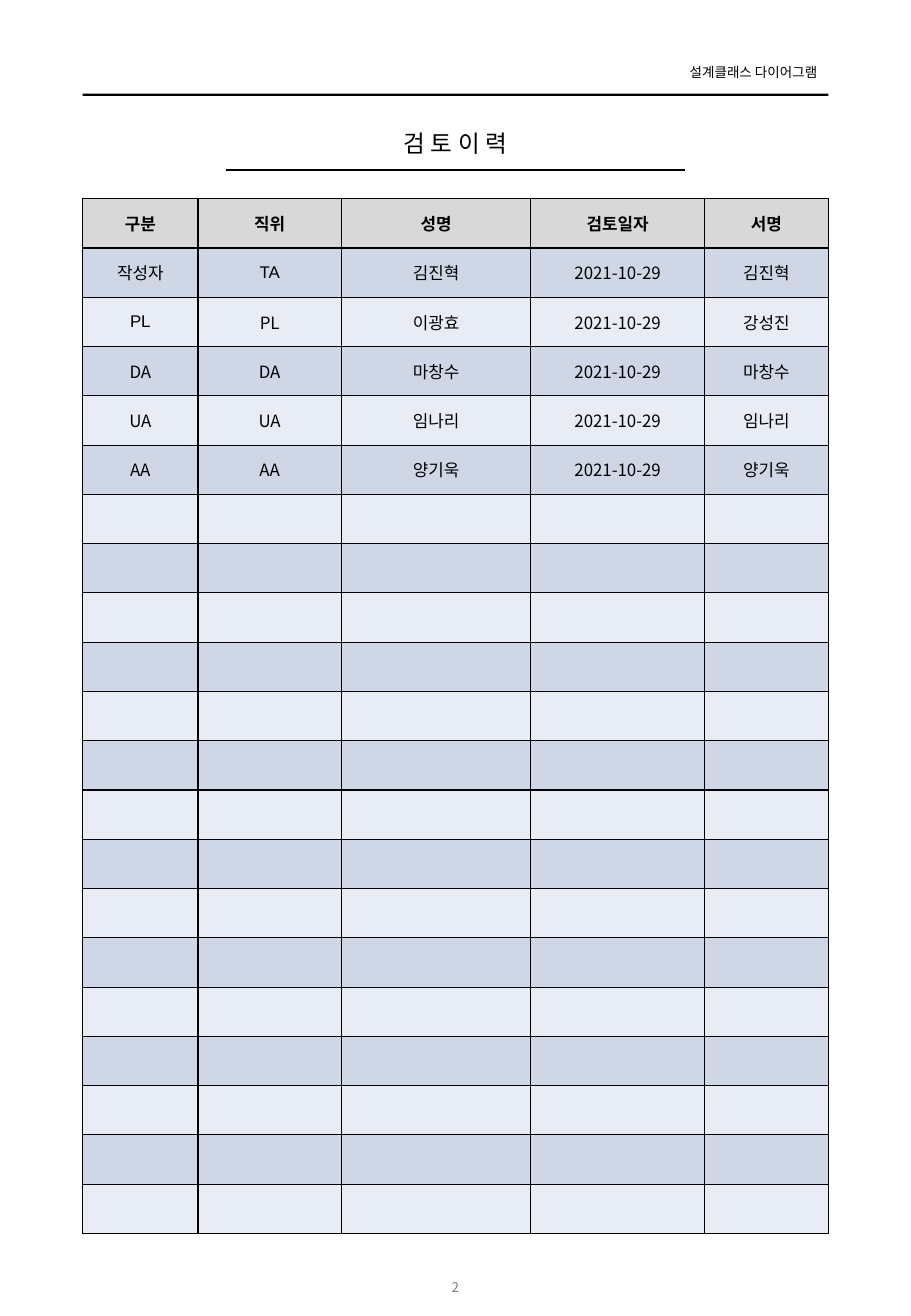
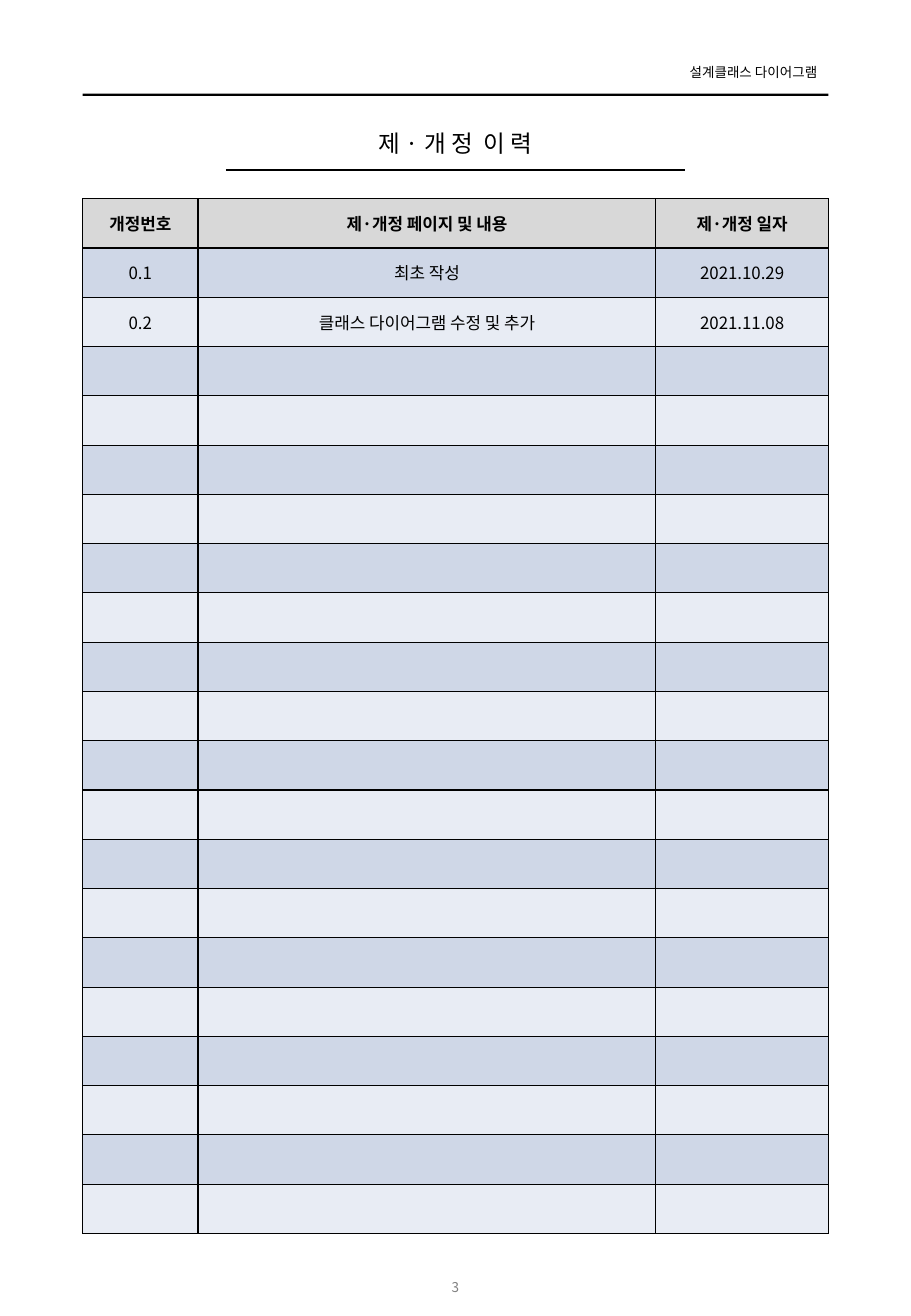
import lxml.etree
import pptx
import pptx.dml.color
import pptx.enum.shapes
import pptx.enum.text
import pptx.oxml.ns
import pptx.util

Inches, Pt = pptx.util.Inches, pptx.util.Pt
qn = pptx.oxml.ns.qn
RGBColor = pptx.dml.color.RGBColor
ALIGN = pptx.enum.text.PP_ALIGN
ANCHOR = pptx.enum.text.MSO_ANCHOR

COLORS = {"ink": "000000", "page_number": "7F7F7F", "header": "D8D8D8",
          "dark_band": "CFD7E7", "light_band": "E8ECF4"}
FONT = "Noto Sans CJK KR"
LEFT, WIDTH = 0.68, 6.14
TABLE_TOP, TABLE_HEIGHT, ROW_COUNT = 1.635, 8.52, 21
DATE = "2021-10-29"

PAGES = [
    {"title": "검 토 이 력", "number": "2",
     "widths": [0.95, 1.18, 1.56, 1.43, 1.02],
     "rows": [["구분", "직위", "성명", "검토일자", "서명"],
              ["작성자", "TA", "김진혁", DATE, "김진혁"],
              ["PL", "PL", "이광효", DATE, "강성진"],
              ["DA", "DA", "마창수", DATE, "마창수"],
              ["UA", "UA", "임나리", DATE, "임나리"],
              ["AA", "AA", "양기욱", DATE, "양기욱"]],
     "arial_cells": [(1, 1), (1, 2), (2, 0)]},
    {"title": "제 · 개 정  이 력", "number": "3",
     "widths": [0.95, 3.77, 1.42],
     "rows": [["개정번호", "제·개정 페이지 및 내용", "제·개정 일자"],
              ["0.1", "최초 작성", "2021.10.29"],
              ["0.2", "클래스 다이어그램 수정 및 추가", "2021.11.08"]],
     "arial_cells": []},
]


def write_text(frame, text, size, color="ink", align=ALIGN.CENTER, bold=False, latin=FONT):
    paragraph = frame.paragraphs[0]
    paragraph.alignment = align
    run = paragraph.add_run()
    run.text = text
    run.font.size = Pt(size)
    run.font.bold = bold
    run.font.name = latin
    run.font.color.rgb = RGBColor.from_string(COLORS[color])
    east_asian = lxml.etree.Element(qn("a:ea"), typeface=FONT)
    run.font._element.find(qn("a:latin")).addnext(east_asian)


def set_frame(frame, left, right, anchor):
    frame.word_wrap = True
    frame.margin_left, frame.margin_right = Inches(left), Inches(right)
    frame.margin_top = frame.margin_bottom = Inches(0.05)
    frame.vertical_anchor = anchor


presentation = pptx.Presentation()
presentation.slide_width = Inches(7.5)
presentation.slide_height = Inches(10.83)
layout = presentation.slide_layouts[5]
for placeholder in list(layout.placeholders)[1:]:
    placeholder._element.getparent().remove(placeholder._element)

slides = [presentation.slides.add_slide(layout) for page in PAGES]

shapes = slides[0].shapes
header_bar = shapes.add_shape(pptx.enum.shapes.MSO_SHAPE.RECTANGLE, Inches(LEFT),
                              Inches(0.77), Inches(WIDTH), Inches(0.02))
header_bar.shadow.inherit = False
header_bar.fill.solid()
header_bar.fill.fore_color.rgb = RGBColor.from_string(COLORS["ink"])
header_bar.line.fill.background()

document_name = shapes.add_textbox(Inches(5.47), Inches(0.48), Inches(1.34), Inches(0.24))
set_frame(document_name.text_frame, 0.1, 0.08, ANCHOR.TOP)
write_text(document_name.text_frame, "설계클래스 다이어그램", 8, align=ALIGN.RIGHT)

title_rule = shapes.add_connector(pptx.enum.shapes.MSO_CONNECTOR.STRAIGHT, Inches(1.86),
                                  Inches(1.4), Inches(5.64), Inches(1.4))
title_rule.line.color.rgb = RGBColor.from_string(COLORS["ink"])
title_rule.line.width = Pt(1)
lxml.etree.SubElement(title_rule._element.spPr, qn("a:effectLst"))

for shared in (header_bar, document_name, title_rule):
    layout.shapes._spTree.append(shared._element)

for slide, page in zip(slides, PAGES):
    title = slide.shapes.title
    title.left, title.top = Inches(LEFT), Inches(1.01)
    title.width, title.height = Inches(WIDTH), Inches(0.34)
    set_frame(title.text_frame, 0, 0, ANCHOR.TOP)
    title.text_frame.auto_size = pptx.enum.text.MSO_AUTO_SIZE.SHAPE_TO_FIT_TEXT
    write_text(title.text_frame, page["title"], 14)

    page_number = slide.shapes.add_textbox(Inches(3.28), Inches(10.39), Inches(0.94), Inches(0.4))
    set_frame(page_number.text_frame, 0.1, 0.1, ANCHOR.MIDDLE)
    write_text(page_number.text_frame, page["number"], 8, "page_number")

    table = slide.shapes.add_table(ROW_COUNT, len(page["widths"]), Inches(LEFT), Inches(TABLE_TOP),
                                   Inches(WIDTH), Inches(TABLE_HEIGHT)).table
    for column, width in zip(table.columns, page["widths"]):
        column.width = Inches(width)
    for row_index, row in enumerate(table.rows):
        row.height = Inches(TABLE_HEIGHT / ROW_COUNT)
        band = "header" if row_index == 0 else "dark_band" if row_index % 2 else "light_band"
        for column_index, cell in enumerate(row.cells):
            cell.vertical_anchor = ANCHOR.MIDDLE
            properties = cell._tc.get_or_add_tcPr()
            for side in ("a:lnL", "a:lnR", "a:lnT", "a:lnB"):
                border = lxml.etree.SubElement(properties, qn(side), w=str(Pt(0.75)))
                border_fill = lxml.etree.SubElement(border, qn("a:solidFill"))
                lxml.etree.SubElement(border_fill, qn("a:srgbClr"), val=COLORS["ink"])
            cell.fill.solid()
            cell.fill.fore_color.rgb = RGBColor.from_string(COLORS[band])
            if row_index < len(page["rows"]):
                is_arial = (row_index, column_index) in page["arial_cells"]
                write_text(cell.text_frame, page["rows"][row_index][column_index], 10,
                           bold=row_index == 0, latin="Arial" if is_arial else FONT)
            else:
                paragraph = cell.text_frame.paragraphs[0]
                lxml.etree.SubElement(paragraph._p, qn("a:endParaRPr"), sz="1000")

presentation.save("out.pptx")
